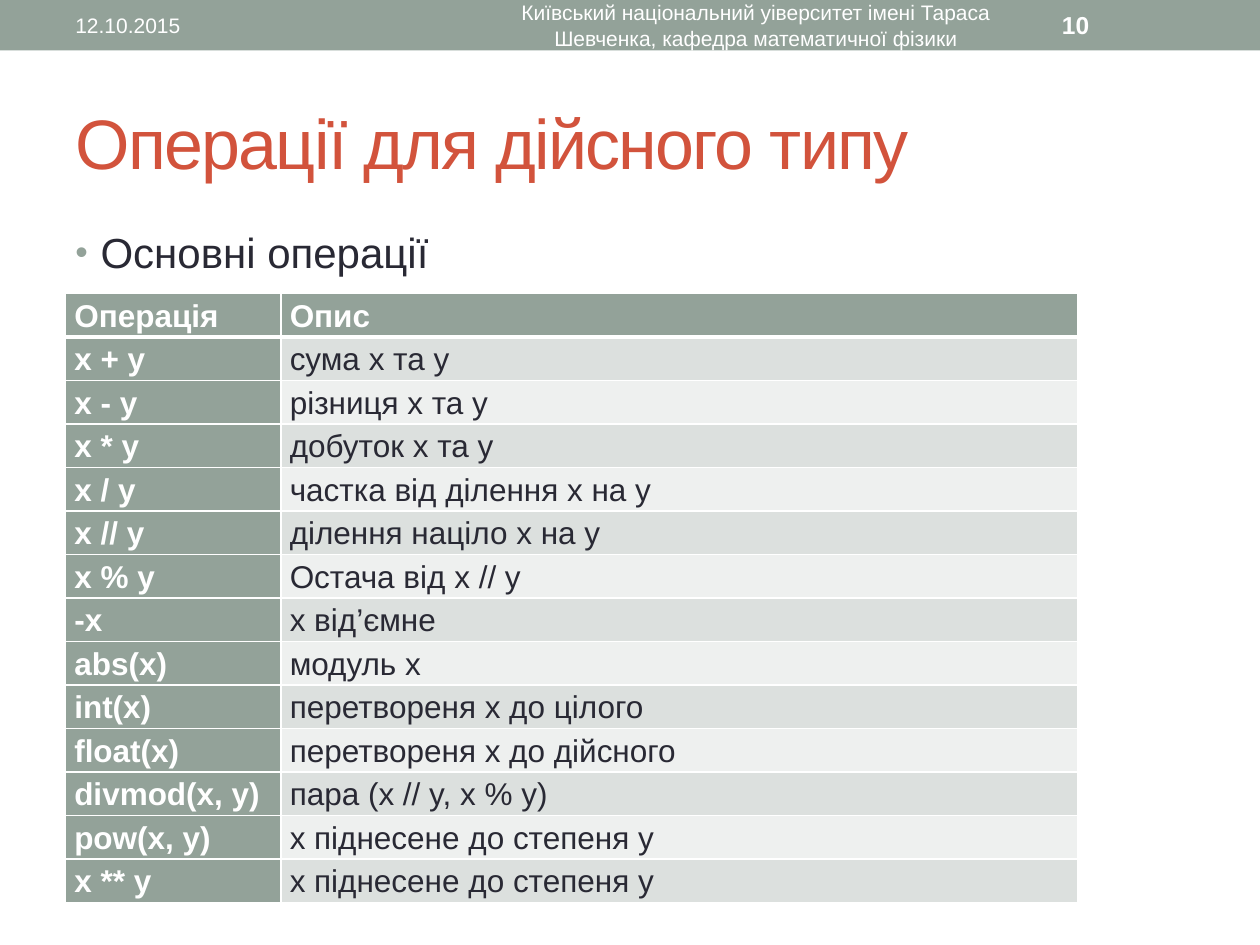
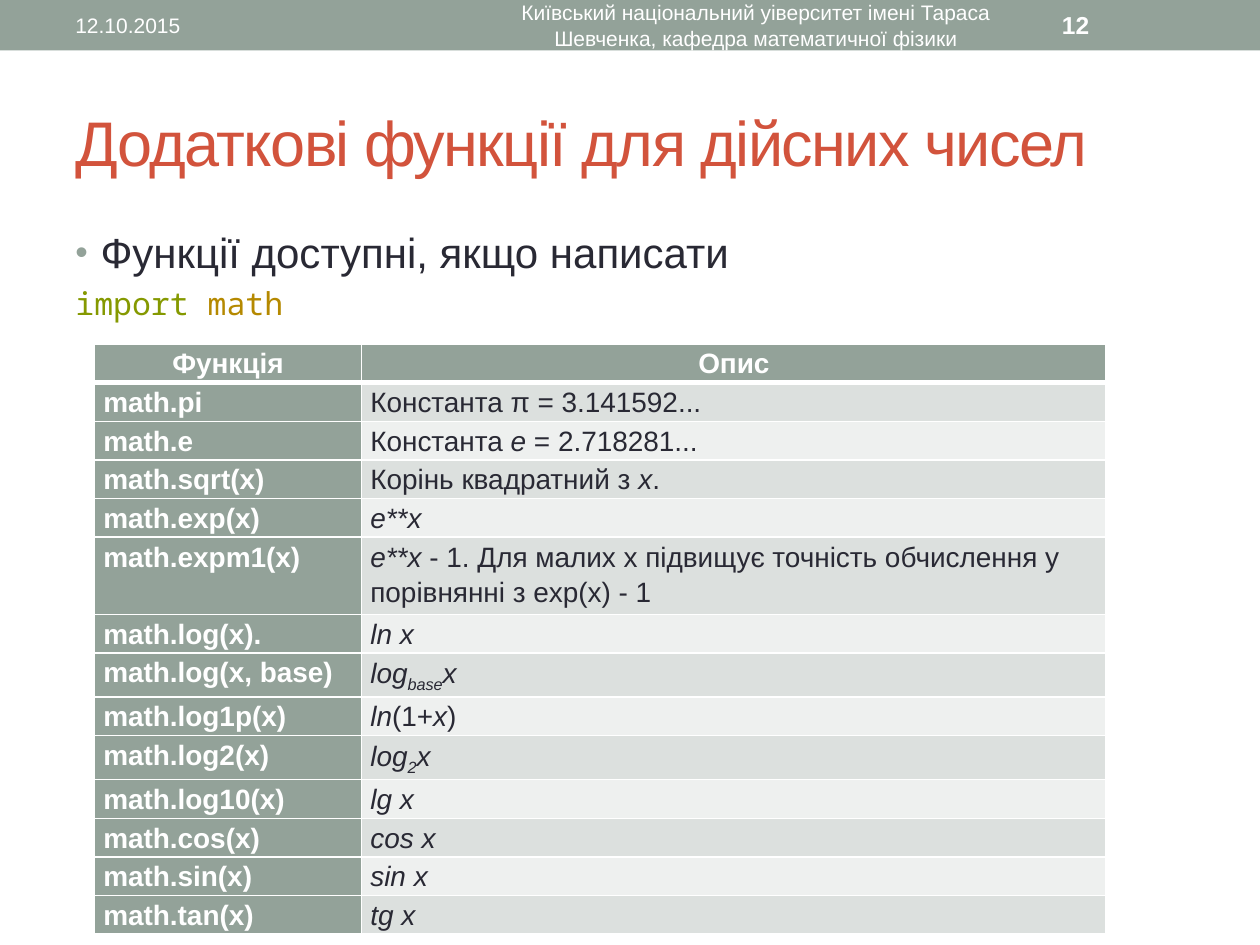
"""Build two slides on operations and math functions for real numbers."""
from lxml import etree
from pptx import Presentation
from pptx import util as u
from pptx.dml.color import RGBColor
from pptx.enum import shapes, text
from pptx.oxml.ns import qn

COLORS = {
    "sage": "93A299",
    "title": "D2533C",
    "ink": "292934",
    "white": "FFFFFF",
    "odd_row": "DCE0DE",
    "even_row": "EEF0EF",
    "keyword": "859900",
    "module": "B58900",
}
SANS, MONO = "Arial", "Noto Sans Mono"
DATE = "12.10.2015"
FOOTER = "Київський національний уіверситет імені Тараса Шевченка, кафедра математичної фізики"

OPERATIONS = [
    ("Операція", "Опис"),
    ("x + y", "сума x та y"),
    ("x - y", "різниця x та y"),
    ("x * y", "добуток x та y"),
    ("x / y", "частка від ділення x на y"),
    ("x // y", "ділення націло x на y"),
    ("x % y", "Остача від x // y"),
    ("-x", "x від’ємне"),
    ("abs(x)", "модуль x"),
    ("int(x)", "перетвореня x до цілого"),
    ("float(x)", "перетвореня x до дійсного"),
    ("divmod(x, y)", "пара (x // y, x % y)"),
    ("pow(x, y)", "x піднесене до степеня y"),
    ("x ** y", "x піднесене до степеня y"),
]
# Between bars the text is italic; between underscores it is subscript.
FUNCTIONS = [
    ("Функція", "Опис"),
    ("math.pi", "Константа π = 3.141592..."),
    ("math.e", "Константа |e| = 2.718281..."),
    ("math.sqrt(x)", "Корінь квадратний з |x|."),
    ("math.exp(x)", "|e**x|"),
    ("math.expm1(x)", "|e**x |- 1. Для малих x підвищує точність обчислення у порівнянні з exp(x) - 1"),
    ("math.log(x).", "|ln x|"),
    ("math.log(x, base)", "|log_base_x|"),
    ("math.log1p(x)", "|ln|(1+|x|)"),
    ("math.log2(x)", "|log_2_x|"),
    ("math.log10(x)", "|lg x|"),
    ("math.cos(x)", "|cos x|"),
    ("math.sin(x)", "|sin x|"),
    ("math.tan(x)", "|tg x|"),
]


def rgb(name):
    """Return a palette colour."""
    return RGBColor.from_string(COLORS[name])


def set_font(font, size, color, bold=False, name=SANS):
    """Format a paragraph or run font."""
    font.name, font.size, font.bold = name, u.Pt(size), bold
    font.color.rgb = rgb(color)


def add_text_box(s, box, anchor=text.MSO_ANCHOR.TOP):
    """Add a wrapping text box and return its text frame."""
    tf = s.shapes.add_textbox(*map(u.Inches, box)).text_frame
    tf.word_wrap = True
    tf.vertical_anchor = anchor
    return tf


def add_band(s, number):
    """Add the top band with date, footer and slide number."""
    sp = s.shapes.add_shape(shapes.MSO_SHAPE.RECTANGLE, 0, 0, u.Inches(10), u.Inches(0.4))
    sp.shadow.inherit = False
    sp.fill.solid()
    sp.fill.fore_color.rgb = rgb("sage")
    sp.line.fill.background()
    left, center = text.PP_ALIGN.LEFT, text.PP_ALIGN.CENTER
    for x, width, words, size, bold, align in (
        (0.5, 3.17, DATE, 12, False, left),
        (3.75, 4.5, FOOTER, 12, False, center),
        (8.33, 1.17, str(number), 14, True, left),
    ):
        p = add_text_box(s, (x, 0.02, width, 0.36), text.MSO_ANCHOR.MIDDLE).paragraphs[0]
        p.text, p.alignment = words, align
        set_font(p.font, size, "white", bold)


def set_title(s, words, size):
    """Place the title placeholder and tighten its letters by size."""
    sp = s.shapes.title
    sp.left, sp.top, sp.width, sp.height = map(u.Inches, (0.5, 0.58, 9, 1.08))
    tf = sp.text_frame
    tf.vertical_anchor = text.MSO_ANCHOR.MIDDLE
    p = tf.paragraphs[0]
    p.alignment = text.PP_ALIGN.LEFT
    r = p.add_run()
    r.text = words
    set_font(p.font, size, "title")
    r.font._element.set("spc", str(round(-2.5 * size)))


def add_bullet(p, words):
    """Fill a paragraph as a bulleted line."""
    p.text, p.space_before = words, u.Pt(4.8)
    set_font(p.font, 24, "ink")
    pPr = p._p.get_or_add_pPr()
    pPr.set("marL", str(u.Inches(0.2)))
    pPr.set("indent", str(-u.Inches(0.2)))
    color = etree.Element(qn("a:buClr"))
    etree.SubElement(color, qn("a:srgbClr"), val=COLORS["sage"])
    size = etree.Element(qn("a:buSzPct"), val="85000")
    font = etree.Element(qn("a:buFont"), typeface=SANS)
    char = etree.Element(qn("a:buChar"), char="•")
    for mark in (color, size, font, char):
        pPr.find(qn("a:defRPr")).addprevious(mark)


def add_code(p, parts):
    """Fill a paragraph with coloured code."""
    p.space_before = u.Pt(4)
    for words, color in parts:
        r = p.add_run()
        r.text = words
        set_font(r.font, 18, color, name=MONO)


def add_marked_runs(p, words):
    """Add runs, reading bars as italic and underscores as subscript."""
    for i, part in enumerate(words.split("|")):
        for j, piece in enumerate(part.split("_")):
            if piece:
                r = p.add_run()
                r.text = piece
                if i % 2:
                    r.font.italic = True
                if j % 2:
                    r.font._element.set("baseline", "-25000")


def set_borders(cell, top, bottom):
    """Draw white borders round a cell."""
    tcPr = cell._tc.get_or_add_tcPr()
    for side, width in (("L", 1), ("R", 1), ("T", top), ("B", bottom)):
        ln = etree.SubElement(tcPr, qn(f"a:ln{side}"), w=str(u.Pt(width)))
        fill = etree.SubElement(ln, qn("a:solidFill"))
        etree.SubElement(fill, qn("a:srgbClr"), val=COLORS["white"])


def fill_cell(cell, words, size, row, col, header_align):
    """Format one table cell by its row and column."""
    head = row == 0 or col == 0
    set_borders(cell, 3 if row == 1 else 1, 3 if row == 0 else 1)
    cell.fill.solid()
    cell.fill.fore_color.rgb = rgb("sage" if head else "odd_row" if row % 2 else "even_row")
    cell.margin_left = cell.margin_right = u.Inches(0.07)
    cell.margin_top = cell.margin_bottom = 0
    p = cell.text_frame.paragraphs[0]
    p.line_spacing = 1.15
    p.alignment = header_align if row == 0 else text.PP_ALIGN.LEFT
    add_marked_runs(p, words)
    set_font(p.font, size, "white" if head else "ink", head)


def add_listing(s, rows, left, top, widths, height, size, header_align=text.PP_ALIGN.LEFT):
    """Add a two-column table whose rows grow to fit their text."""
    box = map(u.Inches, (left, top, sum(widths), height))
    table = s.shapes.add_table(len(rows), len(widths), *box).table
    table.first_row = table.horz_banding = False
    for column, width in zip(table.columns, widths):
        column.width = u.Inches(width)
    for i, row in enumerate(rows):
        table.rows[i].height = 0
        for j, words in enumerate(row):
            fill_cell(table.cell(i, j), words, size, i, j, header_align)


def add_slide(prs, number, title, title_size, bullet):
    """Add a slide with its shared parts; return it and the body frame."""
    s = prs.slides.add_slide(prs.slide_layouts[5])
    add_band(s, number)
    set_title(s, title, title_size)
    tf = add_text_box(s, (0.5, 1.75, 9, 5.33))
    add_bullet(tf.paragraphs[0], bullet)
    return s, tf


def main():
    """Build and save the slides."""
    prs = Presentation()
    prs.slide_width, prs.slide_height = u.Inches(10), u.Inches(7.5)

    s, _ = add_slide(prs, 10, "Операції для дійсного типу", 40, "Основні операції")
    add_listing(s, OPERATIONS, 0.52, 2.33, (1.71, 6.32), 4.83, 18)

    s, tf = add_slide(prs, 12, "Додаткові функції для дійсних чисел", 36,
                      "Функції доступні, якщо написати")
    add_code(tf.add_paragraph(), (("import ", "keyword"), ("math", "module")))
    add_listing(s, FUNCTIONS, 0.75, 2.73, (2.12, 5.91), 4.6, 16, text.PP_ALIGN.CENTER)

    prs.save("out.pptx")


if __name__ == "__main__":
    main()
